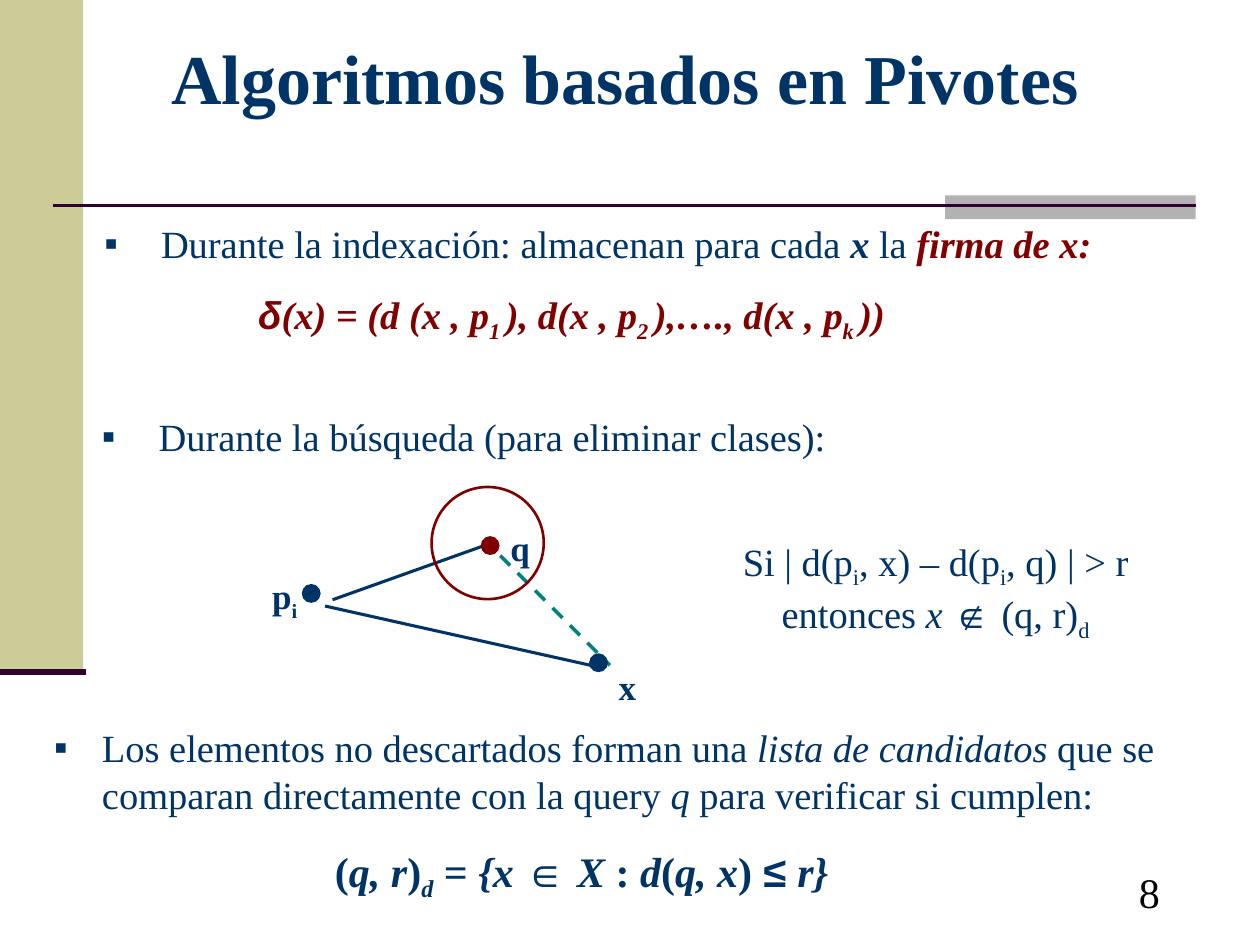
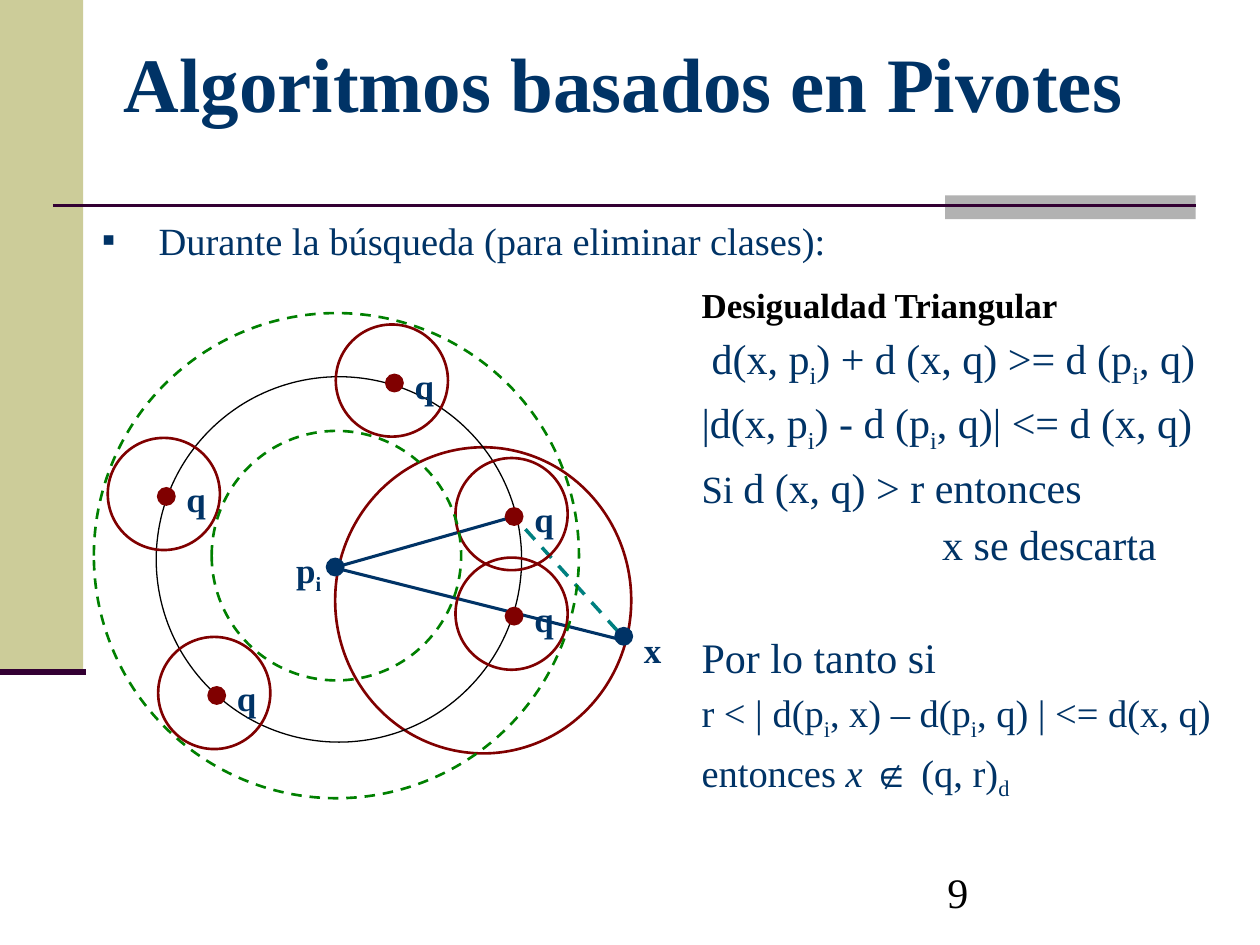
from dataclasses import dataclass

from lxml import etree
from pptx import Presentation
from pptx.dml.color import RGBColor
from pptx.enum.dml import MSO_LINE
from pptx.enum.shapes import MSO_CONNECTOR, MSO_SHAPE
from pptx.enum.text import MSO_ANCHOR, MSO_AUTO_SIZE, PP_ALIGN
from pptx.oxml.ns import qn
from pptx.util import Inches, Pt

RECTANGLE, ELLIPSE = MSO_SHAPE.RECTANGLE, MSO_SHAPE.OVAL
STRAIGHT = MSO_CONNECTOR.STRAIGHT
DASH = MSO_LINE.DASH
LEFT, CENTER = PP_ALIGN.LEFT, PP_ALIGN.CENTER
TOP = MSO_ANCHOR.TOP
NO_AUTOFIT = MSO_AUTO_SIZE.NONE

NAVY, MAROON, TEAL, GREEN = "003366", "800000", "008080", "008000"
BLACK, PLUM, KHAKI, GRAY = "000000", "330033", "CCCC99", "B2B2B2"
SERIF, SANS = "Times New Roman", "Arial"
TITLE_ONLY = 5

TITLE = "Algoritmos basados en Pivotes"
SEARCH = "Durante la búsqueda (para eliminar clases):"
DOT_SIZE = 0.15
RING_SIZE = 0.89


@dataclass
class Run:
    """Flags: b bold, i italic, s subscript, a sans font."""
    text: str
    flags: str = ""
    color: str = ""
    size: float = 0


@dataclass
class Paragraph:
    runs: list
    size: float = 22
    before: float = 0
    indent: float = 0
    bullet: bool = False
    align: int = LEFT


SUB_I = Run("i", "s")
NOT_IN_BALL = [Run("x ", "i"), Run("∉ ", "ia"), Run("(q, r)"), Run("d", "s")]


def rgb(color):
    return RGBColor.from_string(color)


def add_run(paragraph, item, size):
    run = paragraph.add_run()
    run.text = item.text
    font = run.font
    font.size = Pt(item.size or size)
    font.name = SANS if "a" in item.flags else SERIF
    font.bold = "b" in item.flags
    font.italic = "i" in item.flags
    font.color.rgb = rgb(item.color or NAVY)
    if "s" in item.flags:
        run._r.get_or_add_rPr().set("baseline", "-25000")


def set_indent(paragraph, indent, bullet):
    properties = paragraph._p.get_or_add_pPr()
    properties.set("marL", str(Inches(indent)))
    properties.set("indent", str(-Inches(indent) if bullet else 0))
    if bullet:
        color = etree.SubElement(properties, qn("a:buClr"))
        etree.SubElement(color, qn("a:srgbClr"), val=NAVY)
        etree.SubElement(properties, qn("a:buFont"), typeface=SERIF)
        etree.SubElement(properties, qn("a:buChar"), char="▪")


def fill_frame(frame, paragraphs, wrap=True, inset=True):
    frame.word_wrap = wrap
    frame.auto_size = NO_AUTOFIT
    frame.vertical_anchor = TOP
    frame.margin_left = frame.margin_right = Inches(0.1 if inset else 0)
    frame.margin_top = frame.margin_bottom = Inches(0.05 if inset else 0)
    for index, item in enumerate(paragraphs):
        paragraph = frame.add_paragraph() if index else frame.paragraphs[0]
        set_indent(paragraph, item.indent, item.bullet)
        paragraph.alignment = item.align
        paragraph.space_before = Pt(item.before)
        for run in item.runs:
            add_run(paragraph, run, item.size)


def add_text(slide, box, paragraphs, inset=True):
    shape = slide.shapes.add_textbox(*map(Inches, box))
    fill_frame(shape.text_frame, paragraphs, inset=inset)


def add_label(slide, x, y, *runs):
    add_text(slide, (x, y, 0.31, 0.36), [Paragraph(runs, 20)], inset=False)


def add_bullet(slide, box, runs, indent=0.45):
    add_text(slide, box, [Paragraph(runs, indent=indent, bullet=True)], inset=False)


def add_solid(slide, kind, box, color):
    shape = slide.shapes.add_shape(kind, *map(Inches, box))
    shape.shadow.inherit = False
    shape.fill.solid()
    shape.fill.fore_color.rgb = rgb(color)
    shape.line.fill.background()


def add_outline(slide, box, color, width=1.5, dash=None):
    shape = slide.shapes.add_shape(ELLIPSE, *map(Inches, box))
    shape.shadow.inherit = False
    shape.fill.background()
    style_line(shape.line, color, width, dash)


def style_line(line, color, width, dash):
    line.color.rgb = rgb(color)
    line.width = Pt(width)
    if dash:
        line.dash_style = dash


def add_line(slide, start, end, color=NAVY, width=1.75, dash=None):
    connector = slide.shapes.add_connector(STRAIGHT, *map(Inches, start + end))
    style_line(connector.line, color, width, dash)
    etree.SubElement(connector._element.spPr, qn("a:effectLst"))


def square_around(x, y, size):
    return x - size / 2, y - size / 2, size, size


def add_dot(slide, x, y, color=NAVY):
    add_solid(slide, ELLIPSE, square_around(x, y, DOT_SIZE), color)


def add_query(slide, x, y):
    """Draw a query point with its label and its search ball."""
    add_dot(slide, x, y, MAROON)
    add_label(slide, x + 0.16, y - 0.15, Run("q", "b"))
    add_outline(slide, square_around(x - 0.02, y - 0.02, RING_SIZE), MAROON)


def add_pivot(slide, x, y):
    add_dot(slide, x, y)
    add_label(slide, x - 0.31, y - 0.15, Run("p", "b"), Run("i", "bs"))


def add_element(slide, x, y, label_shift):
    add_dot(slide, x, y)
    add_label(slide, x + 0.16, y + label_shift, Run("x", "b"))


def add_base_slide(presentation, title_box, title_size, number, number_box):
    slide = presentation.slides.add_slide(presentation.slide_layouts[TITLE_ONLY])
    add_solid(slide, RECTANGLE, (0, 0, 0.66, 5.32), KHAKI)
    add_solid(slide, RECTANGLE, (7.5, 1.55, 1.99, 0.19), GRAY)
    add_line(slide, (0.42, 1.63), (9.49, 1.63), PLUM, 1.5)
    add_line(slide, (0, 5.33), (0.68, 5.33), PLUM, 3.5)
    title = slide.shapes.title
    title.left, title.top, title.width, title.height = map(Inches, title_box)
    heading = Paragraph([Run(TITLE, "b")], title_size, align=CENTER)
    fill_frame(title.text_frame, [heading], wrap=False)
    add_text(slide, number_box, [Paragraph([Run(number, color=BLACK)], 24)])
    return slide


def add_signature_slide(presentation):
    slide = add_base_slide(presentation, (1.16, 0.22, 7.6, 0.77), 40,
                           "8", (8.94, 6.83, 0.55, 0.49))
    signature = [("δ", "bia"), ("(x) = (d (x , p", "bi"), ("1 ", "bis"),
                 ("), d(x , p", "bi"), ("2 ", "bis"), ("),…., d(x , p", "bi"),
                 ("k ", "bis"), ("))", "bi")]
    add_text(slide, (0.73, 1.7, 8.44, 1.08), [
        Paragraph([Run("Durante la indexación: almacenan para cada "),
                   Run("x", "bi"), Run(" la "), Run("firma de x:", "bi", MAROON)],
                  indent=0.45, bullet=True),
        Paragraph([Run(text, flags, MAROON) for text, flags in signature],
                  before=14, indent=1.22)])
    add_bullet(slide, (0.81, 3.28, 7.5, 0.37), [Run(SEARCH)])

    add_line(slide, (3.97, 4.41), (4.84, 5.28), TEAL, 2, DASH)
    add_line(slide, (2.64, 4.76), (3.9, 4.31))
    add_line(slide, (2.58, 4.81), (4.73, 5.29))
    add_query(slide, 3.89, 4.33)
    add_pivot(slide, 2.47, 4.71)
    add_element(slide, 4.75, 5.26, 0.02)

    add_text(slide, (5.55, 4.22, 3.75, 0.94), [Paragraph(
        [Run("Si | d(p"), SUB_I, Run(", x) – d(p"), SUB_I,
         Run(", q) | > r entonces "), *NOT_IN_BALL], align=CENTER)])
    add_bullet(slide, (0.43, 5.75, 9.06, 0.73), [
        Run("Los elementos no descartados forman una "),
        Run("lista de candidatos", "i"),
        Run(" que se comparan directamente con la query "),
        Run("q ", "i"), Run("para verificar si cumplen:")], indent=0.38)
    ball = [("(", "b"), ("q, r", "bi"), (")", "b"), ("d", "bis"), (" = ", "b"),
            ("{x ", "bi"), ("∈", "bia"), (" X ", "bi"), (": ", "b"), ("d", "bi"),
            ("(", "b"), ("q, x", "bi"), (") ", "b"), ("≤ ", "bia"), ("r}", "bi")]
    add_text(slide, (2.56, 6.66, 4.41, 0.56),
             [Paragraph([Run(*part) for part in ball], 24)])


def add_triangle_slide(presentation):
    slide = add_base_slide(presentation, (0.7, 0.23, 8.5, 0.84), 44,
                           "9", (7.42, 6.83, 2.07, 0.49))
    gap = 4
    add_text(slide, (5.47, 2.2, 4.33, 4.84), [
        Paragraph([Run("Desigualdad Triangular", "b", BLACK)], 20),
        Paragraph([Run("d(x, p"), SUB_I, Run(") + d (x, q) >= d (p"), SUB_I,
                   Run(", q)")], 24, gap, indent=0.08),
        Paragraph([Run("|d(x, p"), SUB_I, Run(") - d (p"), SUB_I,
                   Run(", q)| <= d (x, q)")], 24, gap),
        Paragraph([Run("Si ", size=22), Run("d (x, q) > r entonces")], 24, gap),
        Paragraph([Run("x se descarta")], 24, gap, indent=1.91),
        Paragraph([Run("Por lo tanto si")], 24, 36),
        Paragraph([Run("r < | d(p"), SUB_I, Run(", x) – d(p"), SUB_I,
                   Run(", q) | <= d(x, q)")], before=gap),
        Paragraph([Run("entonces "), *NOT_IN_BALL], before=gap)])
    add_bullet(slide, (0.81, 1.72, 7.5, 0.37), [Run(SEARCH)])

    add_outline(slide, (2.66, 3.55, 2.35, 2.43), MAROON)
    add_outline(slide, (1.24, 2.99, 2.9, 2.9), BLACK, 0.75)
    add_line(slide, (4.17, 4.2), (4.94, 5.05), TEAL, 2, DASH)
    add_line(slide, (2.67, 4.5), (4.08, 4.1))
    add_line(slide, (2.67, 4.51), (4.9, 5.07))
    add_pivot(slide, 2.66, 4.5)
    add_element(slide, 4.95, 5.05, -0.06)
    for x, y in ((4.08, 4.1), (3.13, 3.04), (1.32, 3.94), (1.72, 5.52), (4.08, 4.89)):
        add_query(slide, x, y)
    for diameter in (1.98, 3.85):
        add_outline(slide, square_around(2.67, 4.41, diameter), GREEN, dash=DASH)


def main():
    presentation = Presentation()
    presentation.slide_width = Inches(10)
    presentation.slide_height = Inches(7.5)
    add_signature_slide(presentation)
    add_triangle_slide(presentation)
    presentation.save("out.pptx")


if __name__ == "__main__":
    main()
